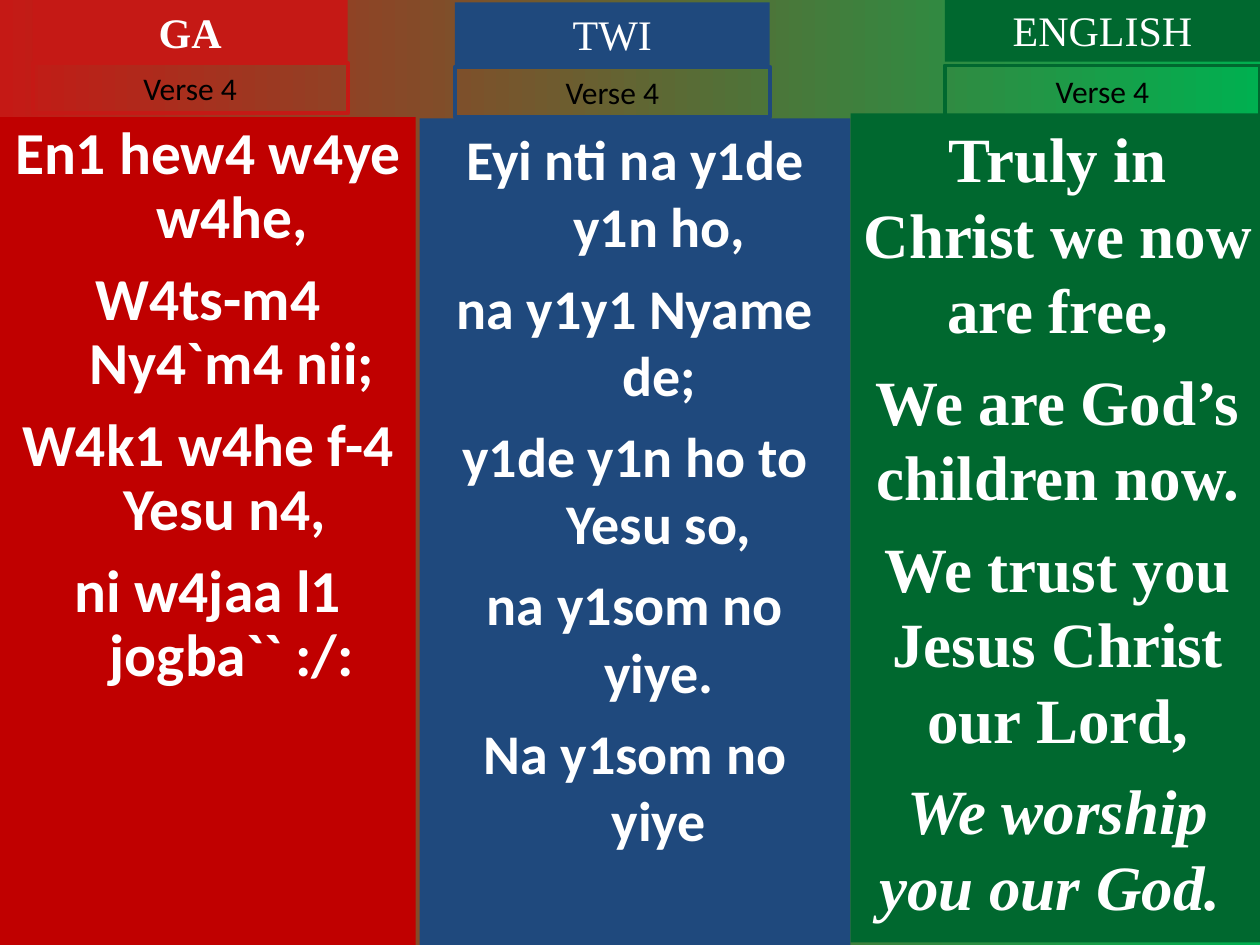
import dataclasses

import pptx
import pptx.dml.color
import pptx.enum.shapes
import pptx.enum.text
import pptx.util

Inches = pptx.util.Inches
Pt = pptx.util.Pt
RGB = pptx.dml.color.RGBColor.from_string


@dataclasses.dataclass(frozen=True)
class Theme:
    """Colours, fonts and type sizes of the hymn slide."""
    red: str = "C51915"
    deep_red: str = "C00000"
    blue: str = "1F497D"
    green: str = "00682F"
    bright_green: str = "00B050"
    white: str = "FFFFFF"
    black: str = "000000"
    sans: str = "Calibri"
    serif: str = "Times New Roman"
    heading_size: int = 24
    verse_size: int = 18
    outline: float = 2.25


THEME = Theme()


@dataclasses.dataclass(frozen=True)
class Language:
    """One language column: its box, part offsets, wording and lyric style."""
    name: str
    box: tuple
    heading_left: float
    verse_top: float
    lyrics_top: float
    accent: str
    fill: str
    lyrics: tuple
    font: str
    size: int
    space_before: int
    line_spacing: float = 1.0
    hanging: float = 0
    heading_bold: bool = False
    italic_last: bool = False


LANGUAGES = (
    Language("GA", (0, 0, 3.3, 7.5), 0.26, 0.5, 0.93, THEME.red, THEME.deep_red,
             ("En1 hew4 w4ye w4he,", "W4ts-m4 Ny4`m4 nii;",
              "W4k1 w4he f-4 Yesu n4, ", "ni w4jaa l1 jogba`` :/:"),
             THEME.sans, 34, 10, line_spacing=0.9, hanging=0.38, heading_bold=True),
    Language("TWI", (3.33, 0.02, 3.42, 7.48), 0.28, 0.51, 0.92, THEME.blue, THEME.blue,
             ("Eyi nti na y1de y1n ho,", "na y1y1 Nyame de;",
              "y1de y1n ho to Yesu so,", "na y1som no yiye.", "Na y1som no yiye"),
             THEME.sans, 32, 8, hanging=0.38),
    Language("ENGLISH", (6.75, -0.01, 3.29, 7.49), 0.75, 0.53, 0.91, THEME.green, THEME.green,
             ("Truly in Christ we now are free,", "We are God’s children now.",
              "We trust you Jesus Christ our Lord,", "We worship you our God. "),
             THEME.serif, 36, 9, italic_last=True),
)


def apply(target, values):
    """Set each named attribute of the target."""
    for attribute, value in values.items():
        setattr(target, attribute, value)


def add_panel(slide, box, fill=None, line=None, grow=False):
    """Add a flat rectangle and return its text frame."""
    panel = slide.shapes.add_shape(
        pptx.enum.shapes.MSO_SHAPE.RECTANGLE, *map(Inches, box))
    panel.shadow.inherit = False
    if fill:
        panel.fill.solid()
        panel.fill.fore_color.rgb = RGB(fill)
    else:
        panel.fill.background()
    if line:
        panel.line.color.rgb = RGB(line)
        panel.line.width = Pt(THEME.outline)
    else:
        panel.line.fill.background()
    sizing = pptx.enum.text.MSO_AUTO_SIZE
    apply(panel.text_frame, {
        "word_wrap": True,
        "vertical_anchor": pptx.enum.text.MSO_ANCHOR.TOP,
        "auto_size": sizing.SHAPE_TO_FIT_TEXT if grow else sizing.NONE,
    })
    return panel.text_frame


def write(paragraph, text, colour, font):
    """Write centred text in one run with the given font values."""
    paragraph.alignment = pptx.enum.text.PP_ALIGN.CENTER
    run = paragraph.add_run()
    run.text = text
    apply(run.font, font)
    run.font.color.rgb = RGB(colour)


def add_heading(slide, box, language):
    """Place the language name in the given box."""
    frame = add_panel(slide, box, fill=language.accent, grow=True)
    write(frame.paragraphs[0], language.name, THEME.white, {
        "name": THEME.serif, "size": Pt(THEME.heading_size),
        "bold": language.heading_bold})


def add_verse_label(slide, box, language):
    """Place the outlined verse number in the given box."""
    frame = add_panel(slide, box, line=language.accent, grow=True)
    write(frame.paragraphs[0], "Verse 4", THEME.black, {
        "name": THEME.sans, "size": Pt(THEME.verse_size)})


def add_lyrics(slide, box, language):
    """Place the lines of the verse in the given box."""
    frame = add_panel(slide, box, fill=language.fill)
    last = len(language.lyrics) - 1
    for index, lyric in enumerate(language.lyrics):
        paragraph = frame.add_paragraph() if index else frame.paragraphs[0]
        apply(paragraph, {
            "line_spacing": language.line_spacing,
            "space_before": Pt(language.space_before if index else 0)})
        if language.hanging:
            properties = paragraph._p.get_or_add_pPr()
            properties.set("marL", str(Inches(language.hanging)))
            properties.set("indent", str(-Inches(language.hanging)))
        write(paragraph, lyric, THEME.white, {
            "name": language.font, "size": Pt(language.size), "bold": True,
            "italic": language.italic_last and index == last})


def add_language(slide, language):
    """Place one column of lyrics, heading and verse label in its box."""
    left, top, width, height = language.box
    heading_left = left + language.heading_left
    add_lyrics(slide, (left, top + language.lyrics_top, width,
                       height - language.lyrics_top), language)
    add_heading(slide, (heading_left, top, 2.5, 0.5), language)
    add_verse_label(slide, (heading_left, top + language.verse_top, 2.5, 0.4), language)


def paint_background(slide):
    """Fill the slide with a red to green gradient from left to right."""
    fill = slide.background.fill
    fill.gradient()
    fill.gradient_angle = 0
    for stop, colour in zip(fill.gradient_stops, (THEME.red, THEME.bright_green)):
        stop.color.rgb = RGB(colour)


def main():
    """Build and save the slide."""
    deck = pptx.Presentation()
    apply(deck, {"slide_width": Inches(10), "slide_height": Inches(7.5)})
    slide = deck.slides.add_slide(deck.slide_layouts.get_by_name("Blank"))
    paint_background(slide)
    for language in LANGUAGES:
        add_language(slide, language)
    deck.save("out.pptx")


if __name__ == "__main__":
    main()
